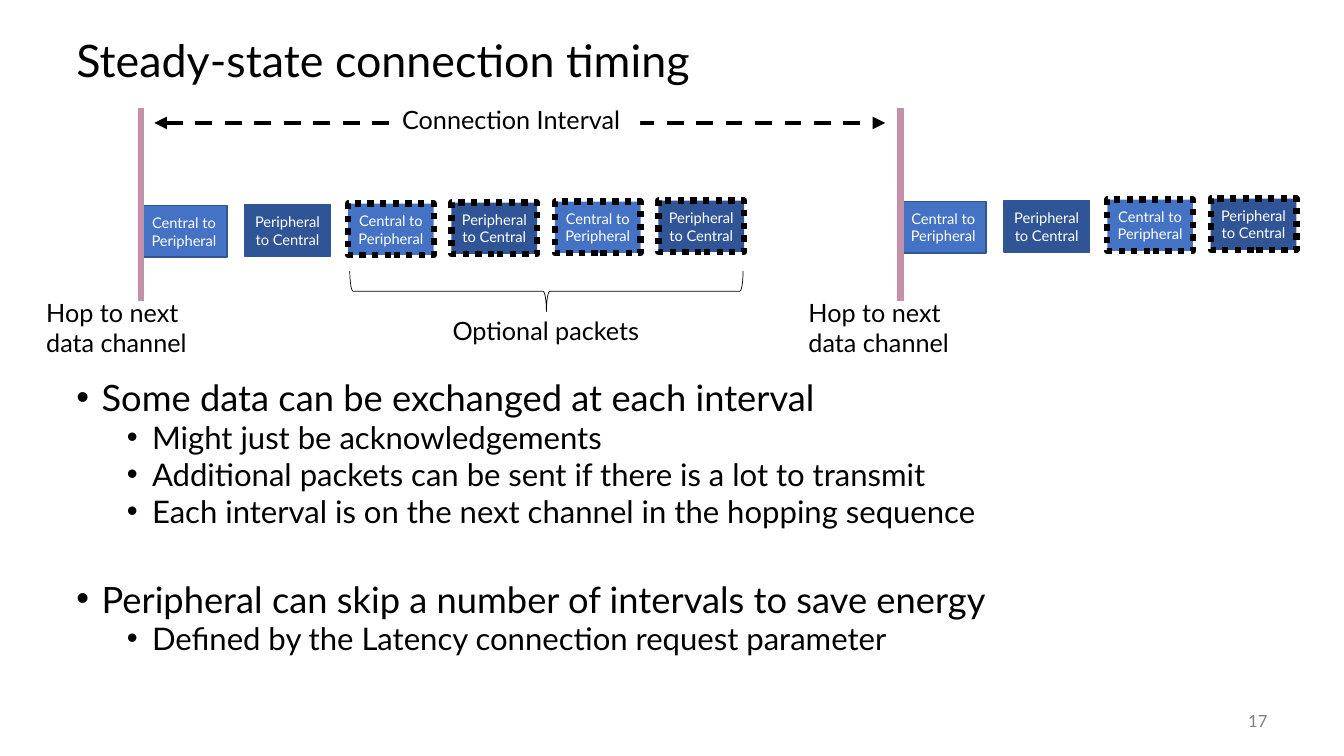
from lxml import etree
from pptx import Presentation
from pptx.dml.color import RGBColor
from pptx.enum.dml import MSO_LINE
from pptx.enum.shapes import MSO_CONNECTOR, MSO_SHAPE
from pptx.enum.text import MSO_ANCHOR, PP_ALIGN
from pptx.oxml.ns import qn
from pptx.util import Inches, Pt

FONT = "Lato"
BLACK = RGBColor(0x00, 0x00, 0x00)
WHITE = RGBColor(0xFF, 0xFF, 0xFF)
GRAY = RGBColor(0x80, 0x80, 0x80)
BLUE = RGBColor(0x44, 0x72, 0xC4)
DARK_BLUE = RGBColor(0x2F, 0x55, 0x97)
EDGE_BLUE = RGBColor(0x32, 0x54, 0x91)
PINK = RGBColor(0xC4, 0x90, 0xAA)

RECT, BRACE = MSO_SHAPE.RECTANGLE, MSO_SHAPE.LEFT_BRACE
STRAIGHT = MSO_CONNECTOR.STRAIGHT
DASH, DOT = MSO_LINE.DASH, MSO_LINE.ROUND_DOT
LEFT, CENTER, RIGHT = PP_ALIGN.LEFT, PP_ALIGN.CENTER, PP_ALIGN.RIGHT
TOP, MIDDLE = MSO_ANCHOR.TOP, MSO_ANCHOR.MIDDLE

# Each interval: left edge, top of the first packet, packets in it
INTERVALS = [(1.4, 2.04, 6), (8.93, 2.0, 4)]
PACKET_W, PACKET_H = 0.85, 0.51
PACKET_PITCH = (6.53 - 1.4) / 5
PACKET_RISE = 0.01  # each packet sits slightly higher than the one before
REQUIRED_PACKETS = 2

# Bullets: level, text, space before in points
BULLETS = [
    (0, "Some data can be exchanged at each interval", 0),
    (1, "Might just be acknowledgements", 5),
    (1, "Additional packets can be sent if there is a lot to transmit", 5),
    (1, "Each interval is on the next channel in the hopping sequence", 5),
    (0, "Peripheral can skip a number of intervals to save energy", 40),
    (1, "Defined by the Latency connection request parameter", 5),
]
BULLET_SIZES = (25.9, 22.2)
BULLET_INDENTS = (0.25, 0.75)


def add_run(p, text, size, color):
    r = p.add_run()
    r.text = text
    r.font.name = FONT
    r.font.size = Pt(size)
    r.font.color.rgb = color


def add_text(slide, box, text, size, color=BLACK, align=LEFT, anchor=TOP):
    s = slide.shapes.add_textbox(*map(Inches, box))
    tf = s.text_frame
    tf.word_wrap = True
    tf.vertical_anchor = anchor
    p = tf.paragraphs[0]
    p.alignment = align
    add_run(p, text, size, color)
    return s


def add_packet(slide, left, top, index):
    from_central = index % 2 == 0
    s = slide.shapes.add_shape(RECT, *map(Inches, (left, top, PACKET_W, PACKET_H)))
    s.shadow.inherit = False
    s.fill.solid()
    s.fill.fore_color.rgb = BLUE if from_central else DARK_BLUE
    if index < REQUIRED_PACKETS:
        s.line.color.rgb, s.line.width = EDGE_BLUE, Pt(1)
    else:
        s.line.color.rgb, s.line.width = BLACK, Pt(4.5)
        s.line.dash_style = DOT
    tf = s.text_frame
    tf.word_wrap = True
    tf.vertical_anchor = MIDDLE
    tf.margin_left = tf.margin_right = Inches(0.05)
    p = tf.paragraphs[0]
    p.alignment = CENTER
    text = "Central to Peripheral" if from_central else "Peripheral to Central"
    add_run(p, text, 10.5, WHITE)


def add_line(slide, ends, color, width):
    s = slide.shapes.add_connector(STRAIGHT, *map(Inches, ends))
    s.line.color.rgb = color
    s.line.width = Pt(width)
    etree.SubElement(s._element.spPr, qn("a:effectLst"))
    return s


def add_interval_arrow(slide):
    s = add_line(slide, (1.53, 1.22, 8.78, 1.22), BLACK, 3)
    s.line.dash_style = DASH
    for tag in ("a:headEnd", "a:tailEnd"):
        etree.SubElement(s.line._get_or_add_ln(), qn(tag), type="triangle")


def add_brace(slide):
    s = slide.shapes.add_shape(BRACE, *map(Inches, (5.22, 0.94, 0.4, 3.9)))
    s.rotation = 270
    s.shadow.inherit = False
    s.fill.background()
    s.line.color.rgb = BLACK
    s.line.width = Pt(0.5)


def add_bullets(slide):
    s = slide.shapes.add_textbox(*map(Inches, (0.66, 3.76, 12, 2.99)))
    tf = s.text_frame
    tf.word_wrap = True
    for i, (level, text, before) in enumerate(BULLETS):
        p = tf.add_paragraph() if i else tf.paragraphs[0]
        p.level = level
        p.line_spacing = 0.8
        p.space_before = Pt(before)
        pPr = p._p.get_or_add_pPr()
        pPr.set("marL", str(Inches(BULLET_INDENTS[level])))
        pPr.set("indent", str(Inches(-0.25)))
        etree.SubElement(pPr, qn("a:buFont"), typeface="Arial")
        etree.SubElement(pPr, qn("a:buChar"), char="•")
        add_run(p, text, BULLET_SIZES[level], BLACK)


def main():
    prs = Presentation()
    prs.slide_width, prs.slide_height = Inches(13.33), Inches(7.5)
    slide = prs.slides.add_slide(prs.slide_layouts[6])

    # Title, bullets and slide number
    title = add_text(slide, (0.66, 0.25, 12, 0.75),
                     "Steady-state connection timing", 32, anchor=MIDDLE)
    title.text_frame.paragraphs[0].line_spacing = 0.9
    add_bullets(slide)
    add_text(slide, (11.67, 6.95, 1, 0.4), "17", 12, GRAY, RIGHT, MIDDLE)

    # Packets of each interval, with the channel hop that starts it
    for left, top, count in INTERVALS:
        for i in range(count):
            add_packet(slide, left + i * PACKET_PITCH, top - i * PACKET_RISE, i)
        add_line(slide, (left, 1.07, left, 2.99), PINK, 4.5)

    # Interval arrow, broken by its label
    add_interval_arrow(slide)
    label = add_text(slide, (3.89, 0.99, 2.46, 0.4), "Connection Interval", 18)
    label.fill.solid()
    label.fill.fore_color.rgb = WHITE

    # Labels below the timeline
    for left in (0.36, 7.92):
        add_text(slide, (left, 2.9, 1.71, 0.71), "Hop to next data channel", 18)
    add_brace(slide)
    add_text(slide, (4.39, 3.08, 2.21, 0.4), "Optional packets", 18)

    prs.save("out.pptx")


if __name__ == "__main__":
    main()
